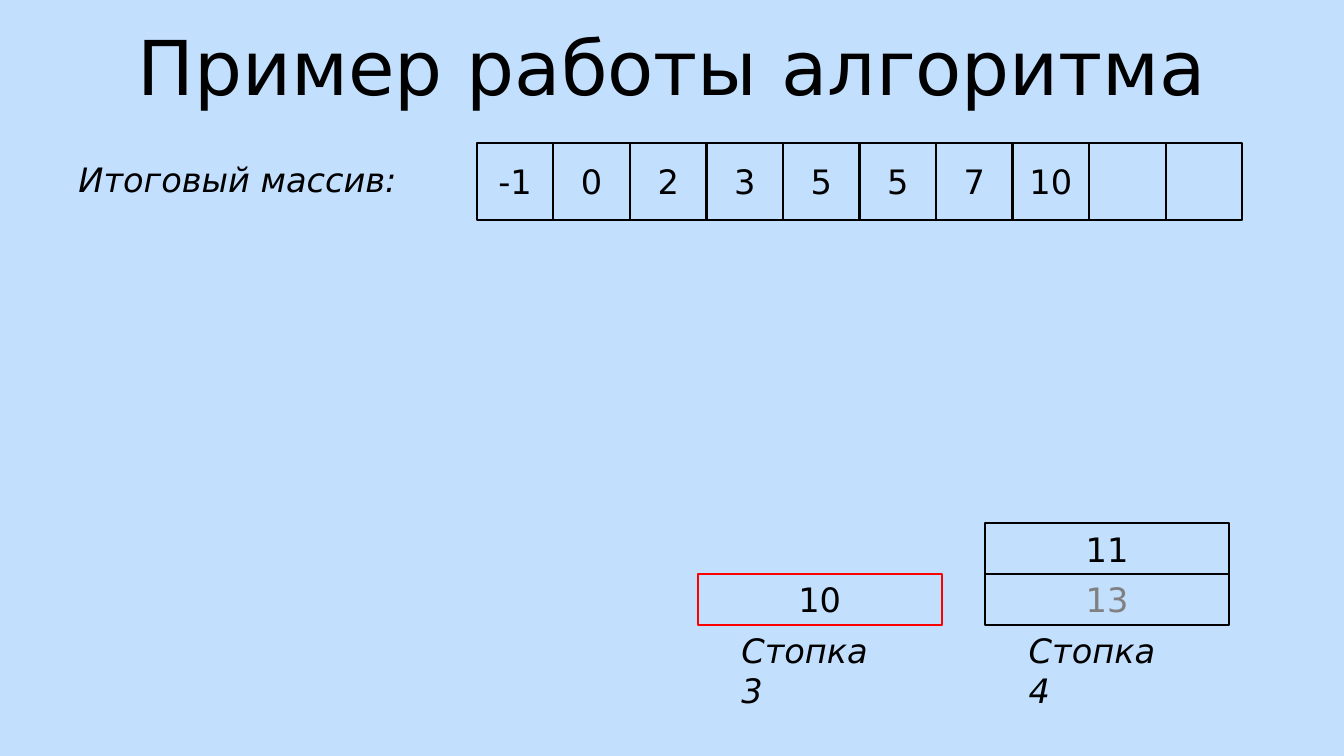
from pptx import Presentation
from pptx.dml.color import RGBColor
from pptx.enum.shapes import MSO_SHAPE
from pptx.enum.text import MSO_ANCHOR, PP_ALIGN
from pptx.util import Inches, Pt

RECTANGLE = MSO_SHAPE.RECTANGLE
MIDDLE = MSO_ANCHOR.MIDDLE
LEFT, CENTER, JUSTIFY = PP_ALIGN.LEFT, PP_ALIGN.CENTER, PP_ALIGN.JUSTIFY

SKY = RGBColor(0xC2, 0xDF, 0xFD)
BLACK = RGBColor(0, 0, 0)
RED = RGBColor(0xFF, 0, 0)
GRAY = RGBColor(0x80, 0x80, 0x80)
FONT = "DejaVu Sans"

RESULT = ["-1", "0", "2", "3", "5", "5", "7", "10", "", ""]


def write(sp, text, align, size=24, color=BLACK, italic=False):
    tf = sp.text_frame
    tf.word_wrap = True
    p = tf.paragraphs[0]
    p.text = text
    p.alignment = align
    p.font.name = FONT
    p.font.size = Pt(size)
    p.font.color.rgb = color
    p.font.italic = italic


def add_text(s, x, y, w, h, text, align, **style):
    sp = s.shapes.add_textbox(Inches(x), Inches(y), Inches(w), Inches(h))
    write(sp, text, align, **style)


def add_cell(s, x, y, w, h, text, color=BLACK, outline=BLACK):
    sp = s.shapes.add_shape(RECTANGLE, Inches(x), Inches(y), Inches(w), Inches(h))
    sp.shadow.inherit = False
    sp.fill.solid()
    sp.fill.fore_color.rgb = SKY
    sp.line.color.rgb = outline
    sp.line.width = Pt(1.5)
    sp.text_frame.vertical_anchor = MIDDLE
    if text:
        write(sp, text, CENTER, color=color)


def add_result_array(s, x, y, w, h, values):
    """Draw the values as one row of equal cells filling the box."""
    cell_w = w / len(values)
    for i, value in enumerate(values):
        add_cell(s, x + i * cell_w, y, cell_w, h, value)


def add_pile(s, x, bottom, w, name, cards):
    """Stack (text, text colour, outline) cards upwards, with the name below."""
    card_h = 0.505
    for i, (text, color, outline) in enumerate(cards, 1):
        add_cell(s, x, bottom - i * card_h, w, card_h, text, color, outline)
    add_text(s, x + 0.335, bottom, 1.76, 0.5, name, LEFT, italic=True)


def main():
    prs = Presentation()
    prs.slide_width, prs.slide_height = Inches(13.33), Inches(7.5)
    s = prs.slides.add_slide(prs.slide_layouts[6])
    s.background.fill.solid()
    s.background.fill.fore_color.rgb = SKY

    add_text(s, 0.22, 0.15, 12.9, 1.01, "Пример работы алгоритма", CENTER, size=54)
    add_result_array(s, 4.73, 1.42, 7.59, 0.76, RESULT)
    add_text(s, 0.68, 1.53, 3.46, 0.5, "Итоговый массив:", JUSTIFY, italic=True)
    add_pile(s, 6.92, 6.2, 2.42, "Стопка 3", [("10", BLACK, RED)])
    add_pile(s, 9.77, 6.2, 2.42, "Стопка 4",
             [("13", GRAY, BLACK), ("11", BLACK, BLACK)])

    prs.save("out.pptx")


if __name__ == "__main__":
    main()
